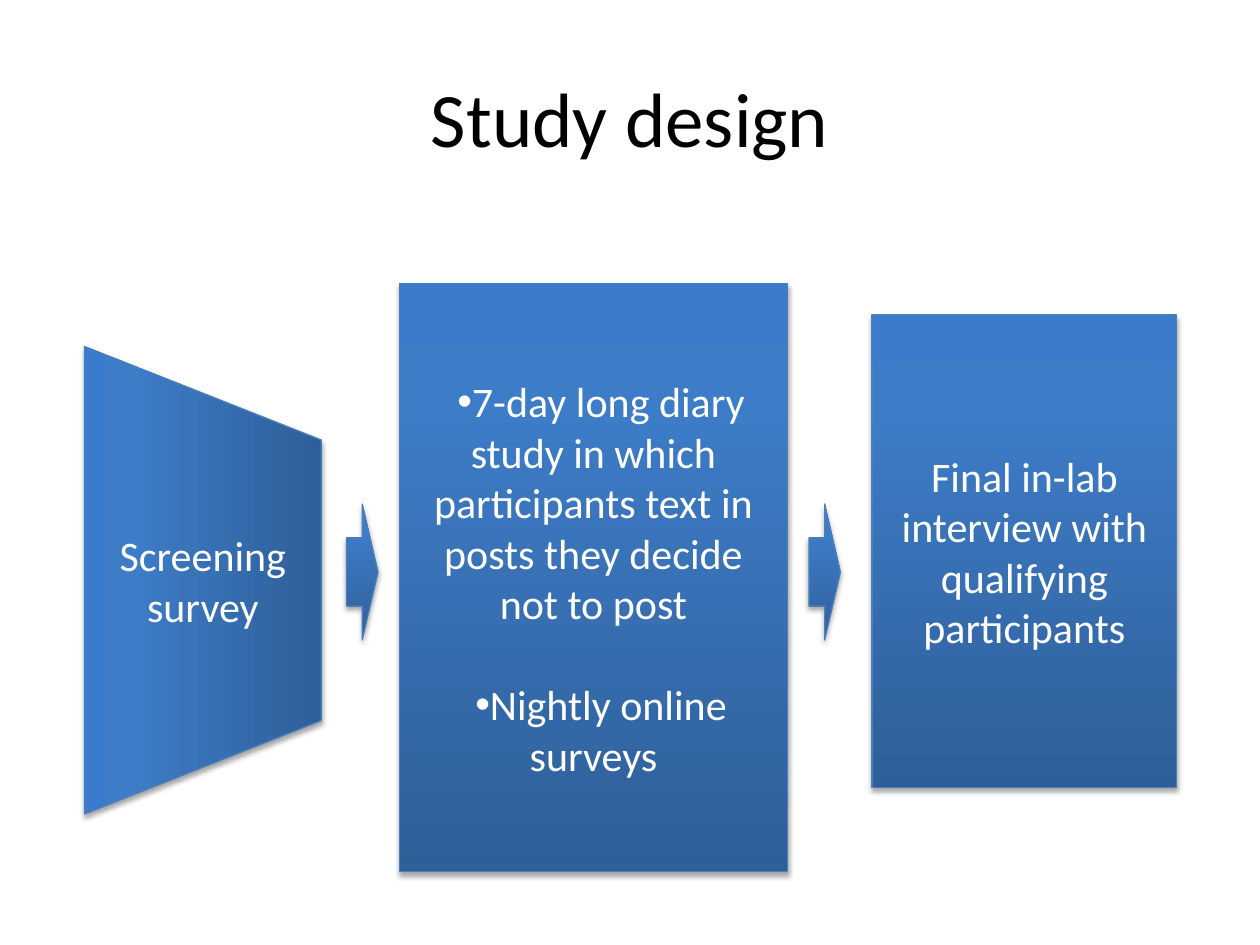
from lxml import etree
from pptx import Presentation
from pptx.dml.color import RGBColor
from pptx.enum.shapes import MSO_SHAPE as Shape
from pptx.enum.text import MSO_ANCHOR as Anchor, PP_ALIGN as Align
from pptx.oxml import parse_xml
from pptx.oxml.ns import nsdecls, qn
from pptx.util import Inches, Pt

BLACK = RGBColor(0x00, 0x00, 0x00)
WHITE = RGBColor(0xFF, 0xFF, 0xFF)
EDGE = RGBColor(0x4B, 0x7E, 0xBC)
GRADIENT = [
    (0, RGBColor(0x2F, 0x5F, 0x99)),
    (80, RGBColor(0x3D, 0x7C, 0xC7)),
    (100, RGBColor(0x3A, 0x7C, 0xCB)),
]
FONT = "Calibri"


def paint_gradient(shape):
    """Fill from dark at the bottom to light at the top."""
    shape.fill.gradient()
    shape.fill.gradient_angle = 90
    stops = shape._element.spPr.find(qn("a:gradFill")).find(qn("a:gsLst"))
    for stop in list(stops):
        stops.remove(stop)
    for percent, color in GRADIENT:
        stop = etree.SubElement(stops, qn("a:gs"), pos=str(percent * 1000))
        etree.SubElement(stop, qn("a:srgbClr"), val=str(color))


def add_shadow(shape):
    shape._element.spPr.append(parse_xml(
        f'<a:effectLst {nsdecls("a")}>'
        f'<a:outerShdw blurRad="{Pt(3.1)}" dist="{Pt(1.8)}" dir="5400000" rotWithShape="0">'
        '<a:srgbClr val="000000"><a:alpha val="35000"/></a:srgbClr>'
        '</a:outerShdw></a:effectLst>'))


def add_block(page, kind, box):
    shape = page.shapes.add_shape(kind, *map(Inches, box))
    paint_gradient(shape)
    shape.line.color.rgb = EDGE
    shape.line.width = Pt(0.75)
    add_shadow(shape)
    return shape


def add_bullet(para):
    props = para._p.get_or_add_pPr()
    props.set("marL", "0")
    props.set("indent", str(Inches(0.12)))
    etree.SubElement(props, qn("a:buFont"), typeface="Arial")
    etree.SubElement(props, qn("a:buChar"), char="•")


def write(shape, lines, size, color, bulleted=False):
    frame = shape.text_frame
    frame.word_wrap = True
    frame.vertical_anchor = Anchor.MIDDLE
    for index, line in enumerate(lines):
        para = frame.add_paragraph() if index else frame.paragraphs[0]
        para.alignment = Align.CENTER
        if index:
            para.space_before = Pt(29)
        if bulleted:
            add_bullet(para)
        span = para.add_run()
        span.text = line
        span.font.name = FONT
        span.font.size = Pt(size)
        span.font.color.rgb = color


def add_title(page, box):
    write(page.shapes.add_textbox(*map(Inches, box)), ["Study design"], 44, BLACK)


def add_stage(page, box, lines, bulleted=False):
    write(add_block(page, Shape.RECTANGLE, box), lines, 24, WHITE, bulleted)


def add_funnel(page, box, text):
    """Place a funnel narrowing to the right, turned on its side with level text."""
    left, top, width, height = box
    offset = (width - height) / 2
    funnel = add_block(page, Shape.FLOWCHART_MANUAL_OPERATION,
                       (left + offset, top - offset, height, width))
    funnel.rotation = 270
    write(funnel, [text], 24, WHITE)
    funnel.text_frame._txBody.bodyPr.set("vert", "vert")


def main():
    deck = Presentation()
    deck.slide_width, deck.slide_height = Inches(10), Inches(7.5)
    page = deck.slides.add_slide(deck.slide_layouts[6])

    add_title(page, (0.5, 0.3, 9, 1.25))
    add_stage(page, (3.17, 2.25, 3.08, 4.67), [
        "7-day long diary study in which participants text in posts they decide not to post",
        "Nightly online surveys",
    ], bulleted=True)
    add_funnel(page, (0.67, 2.75, 1.88, 3.71), "Screening survey")
    add_stage(page, (6.92, 2.5, 2.42, 3.75),
              ["Final in-lab interview with qualifying participants"])
    for left in (2.75, 6.42):
        add_block(page, Shape.RIGHT_ARROW, (left, 4, 0.25, 1.08))

    deck.save("out.pptx")


if __name__ == "__main__":
    main()
